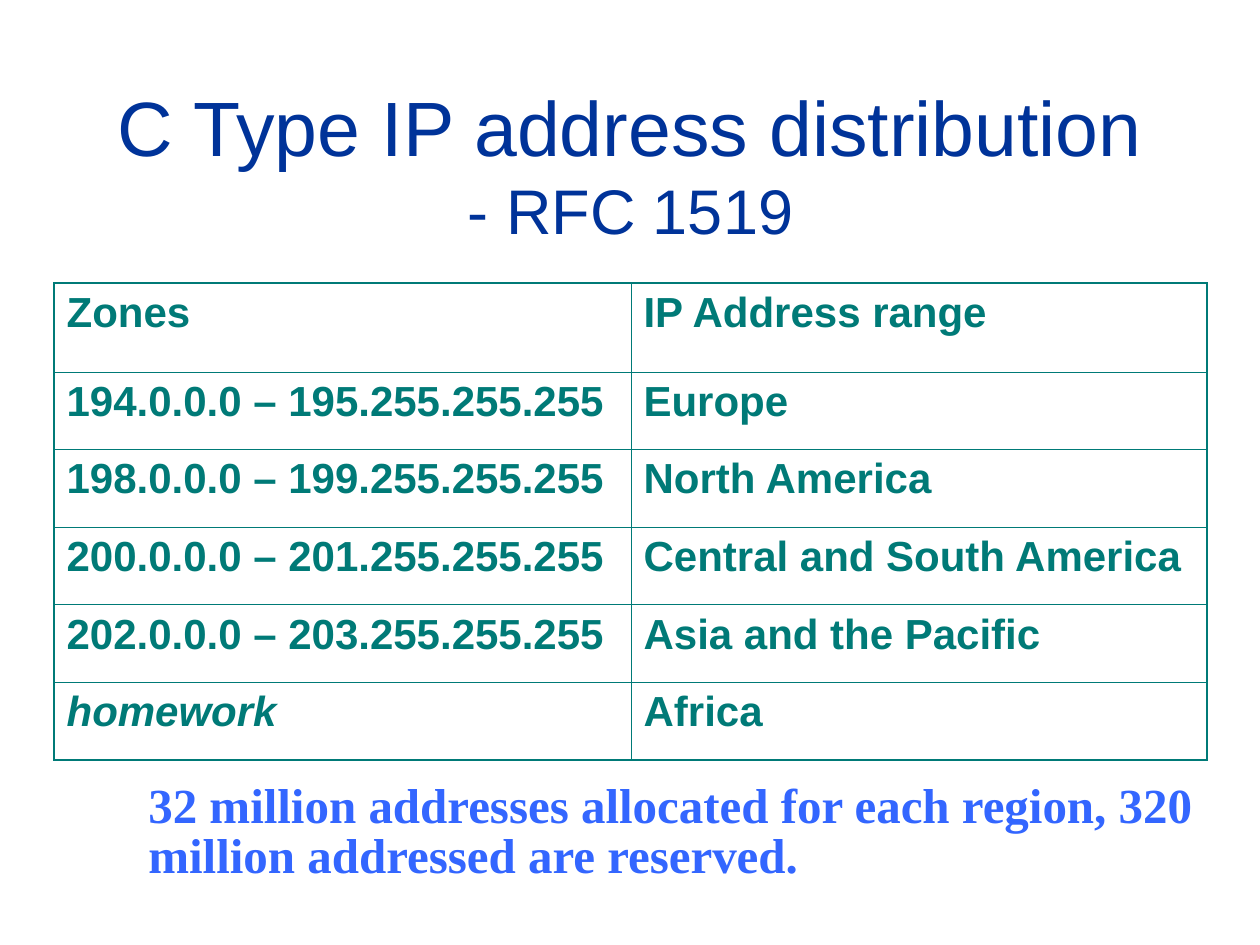
from dataclasses import dataclass

from lxml import etree
from pptx import Presentation
from pptx.dml.color import RGBColor
from pptx.enum.text import MSO_ANCHOR, MSO_AUTO_SIZE, PP_ALIGN
from pptx.oxml.ns import qn
from pptx.util import Emu, Pt

PIXELS_PER_INCH = 126
EMU_PER_POINT = 12700
CENTER, LEFT = PP_ALIGN.CENTER, PP_ALIGN.LEFT
MIDDLE, TOP = MSO_ANCHOR.MIDDLE, MSO_ANCHOR.TOP
GROW, FIXED = MSO_AUTO_SIZE.SHAPE_TO_FIT_TEXT, MSO_AUTO_SIZE.NONE

NAVY, TEAL, BLUE = "003399", "007A77", "3366FF"
OUTER_LINE, INNER_LINE = 1.08, 0.45
COLUMN_WIDTHS = (577, 576)
HEADER_HEIGHT, BODY_HEIGHT = 89, 388
ROWS = (
    ("Zones", "IP Address range"),
    ("194.0.0.0 – 195.255.255.255", "Europe"),
    ("198.0.0.0 – 199.255.255.255", "North America"),
    ("200.0.0.0 – 201.255.255.255", "Central and South America"),
    ("202.0.0.0 – 203.255.255.255", "Asia and the Pacific"),
    ("homework", "Africa"),
)


@dataclass
class Span:
    text: str
    size: int
    color: str
    name: str = "Arial"
    bold: bool = False
    italic: bool = False


@dataclass
class TextBlock:
    left: int
    top: int
    width: int
    height: int
    lines: tuple
    frame_format: dict
    para_format: dict


TEXT_BLOCKS = (
    TextBlock(
        42, 84, 1177, 158,
        (Span("C Type IP address distribution", 44, NAVY), Span("- RFC 1519", 36, NAVY)),
        {"vertical_anchor": MIDDLE, "auto_size": FIXED},
        {"alignment": CENTER},
    ),
    TextBlock(
        136, 777, 1071, 113,
        (Span("32 million addresses allocated for each region, "
              "320 million addressed are reserved.", 28, BLUE, "Times New Roman", True),),
        {"vertical_anchor": TOP, "auto_size": GROW},
        {"alignment": LEFT, "line_spacing": 0.85},
    ),
)


def px(count: int) -> Emu:
    return Emu(round(count * 914400 / PIXELS_PER_INCH))


def rgb(color: str) -> RGBColor:
    return RGBColor.from_string(color)


def set_format(target, values: dict) -> None:
    for name, value in values.items():
        setattr(target, name, value)


def add_span(para, span: Span) -> None:
    run = para.add_run()
    run.text = span.text
    set_format(run.font, {"name": span.name, "size": Pt(span.size),
                          "bold": span.bold, "italic": span.italic})
    run.font.color.rgb = rgb(span.color)


def add_text_block(page, block: TextBlock) -> None:
    box = page.shapes.add_textbox(px(block.left), px(block.top), px(block.width), px(block.height))
    set_format(box.text_frame, {"word_wrap": True, **block.frame_format})
    para = box.text_frame.paragraphs[0]
    set_format(para, block.para_format)
    for index, span in enumerate(block.lines):
        if index:
            para.add_line_break()
        add_span(para, span)


def set_borders(cell, widths: dict) -> None:
    """Draw cell borders; widths maps L, R, T and B, in that order, to points."""
    properties = cell._tc.get_or_add_tcPr()
    for index, (side, width) in enumerate(widths.items()):
        line = etree.Element(qn(f"a:ln{side}"), w=str(round(width * EMU_PER_POINT)))
        fill = etree.SubElement(line, qn("a:solidFill"))
        etree.SubElement(fill, qn("a:srgbClr"), val=TEAL)
        properties.insert(index, line)


def add_address_table(page) -> None:
    last_row, last_column = len(ROWS) - 1, len(COLUMN_WIDTHS) - 1
    table = page.shapes.add_table(
        len(ROWS), len(COLUMN_WIDTHS), px(54), px(283),
        px(sum(COLUMN_WIDTHS)), px(HEADER_HEIGHT + BODY_HEIGHT),
    ).table
    set_format(table, {"first_row": False, "horz_banding": False})
    for column, width in zip(table.columns, COLUMN_WIDTHS):
        column.width = px(width)
    for r, texts in enumerate(ROWS):
        table.rows[r].height = px(BODY_HEIGHT) // last_row if r else px(HEADER_HEIGHT)
        for c, text in enumerate(texts):
            cell = table.cell(r, c)
            cell.fill.background()
            outer = {"L": c == 0, "R": c == last_column, "T": r == 0, "B": r == last_row}
            set_borders(cell, {side: OUTER_LINE if edge else INNER_LINE
                               for side, edge in outer.items()})
            add_span(cell.text_frame.paragraphs[0],
                     Span(text, 24, TEAL, bold=True, italic=text == "homework"))


def main() -> None:
    deck = Presentation()
    set_format(deck, {"slide_width": px(1260), "slide_height": px(945)})
    page = deck.slides.add_slide(deck.slide_layouts[6])
    title, note = TEXT_BLOCKS
    add_text_block(page, title)
    add_address_table(page)
    add_text_block(page, note)
    deck.save("out.pptx")


if __name__ == "__main__":
    main()
